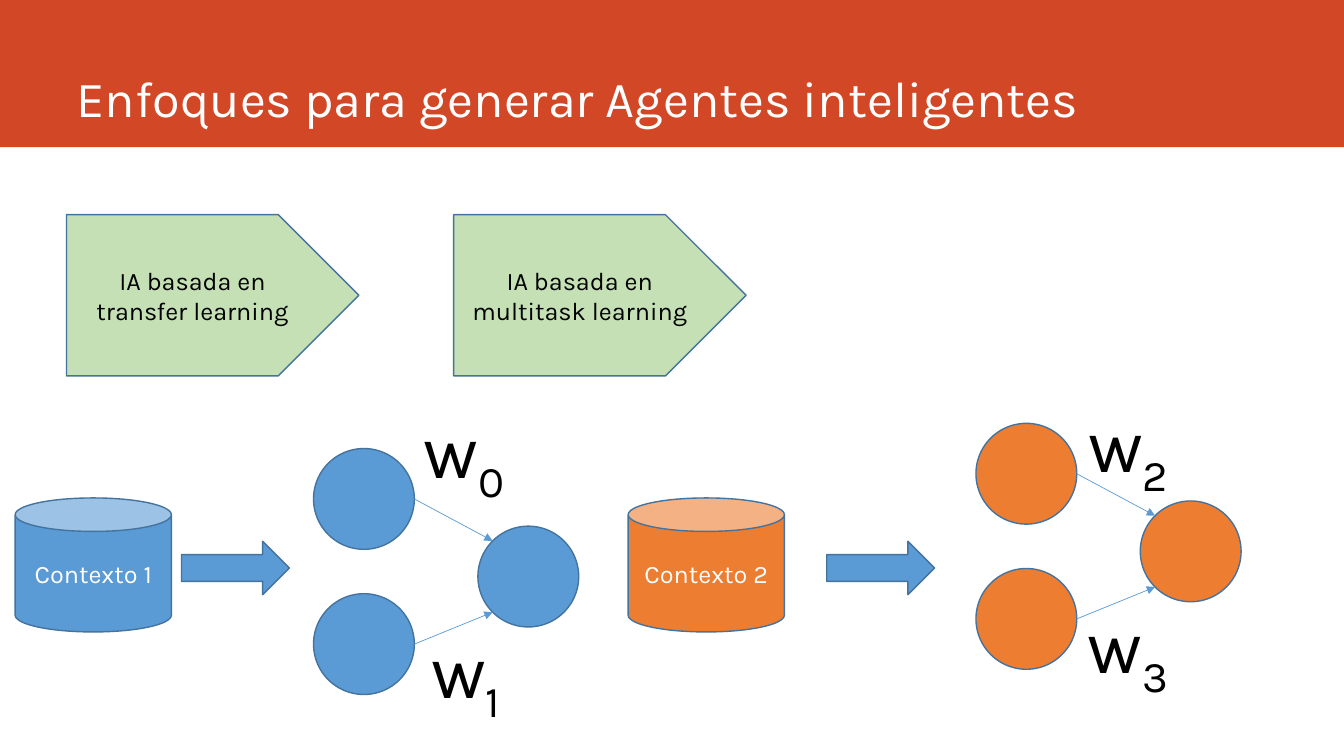
from lxml import etree
from pptx import Presentation
from pptx.dml.color import RGBColor
from pptx.enum.shapes import MSO_CONNECTOR, MSO_SHAPE
from pptx.enum.text import MSO_ANCHOR, MSO_AUTO_SIZE, PP_ALIGN
from pptx.oxml.ns import qn
from pptx.util import Inches, Pt

RECT, PENTAGON, CAN = MSO_SHAPE.RECTANGLE, MSO_SHAPE.PENTAGON, MSO_SHAPE.CAN
OVAL, ARROW = MSO_SHAPE.OVAL, MSO_SHAPE.RIGHT_ARROW
STRAIGHT = MSO_CONNECTOR.STRAIGHT
CENTER, MIDDLE, BOTTOM = PP_ALIGN.CENTER, MSO_ANCHOR.MIDDLE, MSO_ANCHOR.BOTTOM
FIT_SHAPE = MSO_AUTO_SIZE.SHAPE_TO_FIT_TEXT

FONT = "Karla"
COLORS = {
    "band": "D24726", "green": "C5E0B4", "blue": "5B9BD5", "orange": "ED7D31",
    "outline": "43739E", "white": "FFFFFF", "black": "000000",
}

TITLE = "Enfoques para generar Agentes inteligentes"
APPROACHES = [  # text, left
    ("IA basada en transfer learning", 0.66),
    ("IA basada en multitask learning", 4.5),
]
CONTEXTS = [
    {"name": "Contexto 1", "color": "blue", "can": 0.15, "arrow": 1.8,
     "network": (3.11, 4.45),
     "weights": [("0", 4.09, 3.95), ("1", 4.11, 6.13)]},
    {"name": "Contexto 2", "color": "orange", "can": 6.23, "arrow": 8.2,
     "network": (9.68, 4.2),
     "weights": [("2", 10.68, 3.89), ("3", 10.68, 5.88)]},
]
NODE = 1.0
INPUT_OFFSETS = (0, 1.44)          # tops of the two input nodes
OUTPUT_OFFSET = (1.63, 0.77)
CORNER = NODE * (1 - 0.5 ** 0.5) / 2  # inset of a circle's diagonal point


def rgb(name):
    return RGBColor.from_string(COLORS[name])


def style(p, size, color):
    p.font.name, p.font.size = FONT, Pt(size)
    p.font.color.rgb = rgb(color)


def add_box(kind, left, top, width, height, fill, text="", color="white"):
    sp = slide.shapes.add_shape(
        kind, Inches(left), Inches(top), Inches(width), Inches(height))
    sp.shadow.inherit = False
    sp.fill.solid()
    sp.fill.fore_color.rgb = rgb(fill)
    sp.line.color.rgb = rgb("outline")
    sp.line.width = Pt(1)
    if text:
        tf = sp.text_frame
        tf.word_wrap, tf.vertical_anchor = True, MIDDLE
        p = tf.paragraphs[0]
        p.text, p.alignment = text, CENTER
        style(p, 18, color)
    return sp


def add_link(x1, y1, x2, y2):
    link = slide.shapes.add_connector(
        STRAIGHT, Inches(x1), Inches(y1), Inches(x2), Inches(y2))
    link.line.color.rgb = rgb("blue")
    link.line.width = Pt(0.5)
    etree.SubElement(link.line._get_or_add_ln(), qn("a:tailEnd"), type="triangle")
    etree.SubElement(link._element.spPr, qn("a:effectLst"))


def add_weight(index, left, top):
    """Add a "w" with its index as a subscript."""
    box = slide.shapes.add_textbox(
        Inches(left), Inches(top), Inches(1.02), Inches(1.01))
    tf = box.text_frame
    tf.word_wrap, tf.auto_size = False, FIT_SHAPE
    p = tf.paragraphs[0]
    p.alignment = CENTER
    style(p, 54, "black")
    p.add_run().text = "w"
    r = p.add_run()
    r.text = index
    r._r.get_or_add_rPr().set("baseline", "-25000")


def add_network(left, top, color):
    """Add two input nodes, each linked to one output node."""
    for dy in INPUT_OFFSETS:
        add_box(OVAL, left, top + dy, NODE, NODE, color)
    out_x, out_y = left + OUTPUT_OFFSET[0], top + OUTPUT_OFFSET[1]
    add_box(OVAL, out_x, out_y, NODE, NODE, color)
    for dy, inset in zip(INPUT_OFFSETS, (CORNER, NODE - CORNER)):
        add_link(left + NODE, top + dy + NODE / 2, out_x + CORNER, out_y + inset)


prs = Presentation()
prs.slide_width, prs.slide_height = Inches(13.33), Inches(7.5)
slide = prs.slides.add_slide(prs.slide_layouts[5])

band = add_box(RECT, 0, 0, 13.33, 1.46, "band")
band.line.fill.background()
slide.shapes._spTree.insert(2, band._element)  # behind the title

title = slide.shapes.title
title.left, title.top = Inches(0.66), Inches(0)
title.width, title.height = Inches(11.76), Inches(1.32)
title.text_frame.text = TITLE
title.text_frame.vertical_anchor = BOTTOM
heading = title.text_frame.paragraphs[0]
heading.alignment = PP_ALIGN.LEFT
heading.line_spacing = 0.9
style(heading, 36, "white")

for text, left in APPROACHES:
    add_box(PENTAGON, left, 2.13, 2.9, 1.6, "green", text, "black")

for context in CONTEXTS:
    add_network(*context["network"], context["color"])
    for weight in context["weights"]:
        add_weight(*weight)
    add_box(CAN, context["can"], 4.94, 1.55, 1.33, context["color"], context["name"])
    add_box(ARROW, context["arrow"], 5.37, 1.07, 0.53, "blue")

prs.save("out.pptx")
